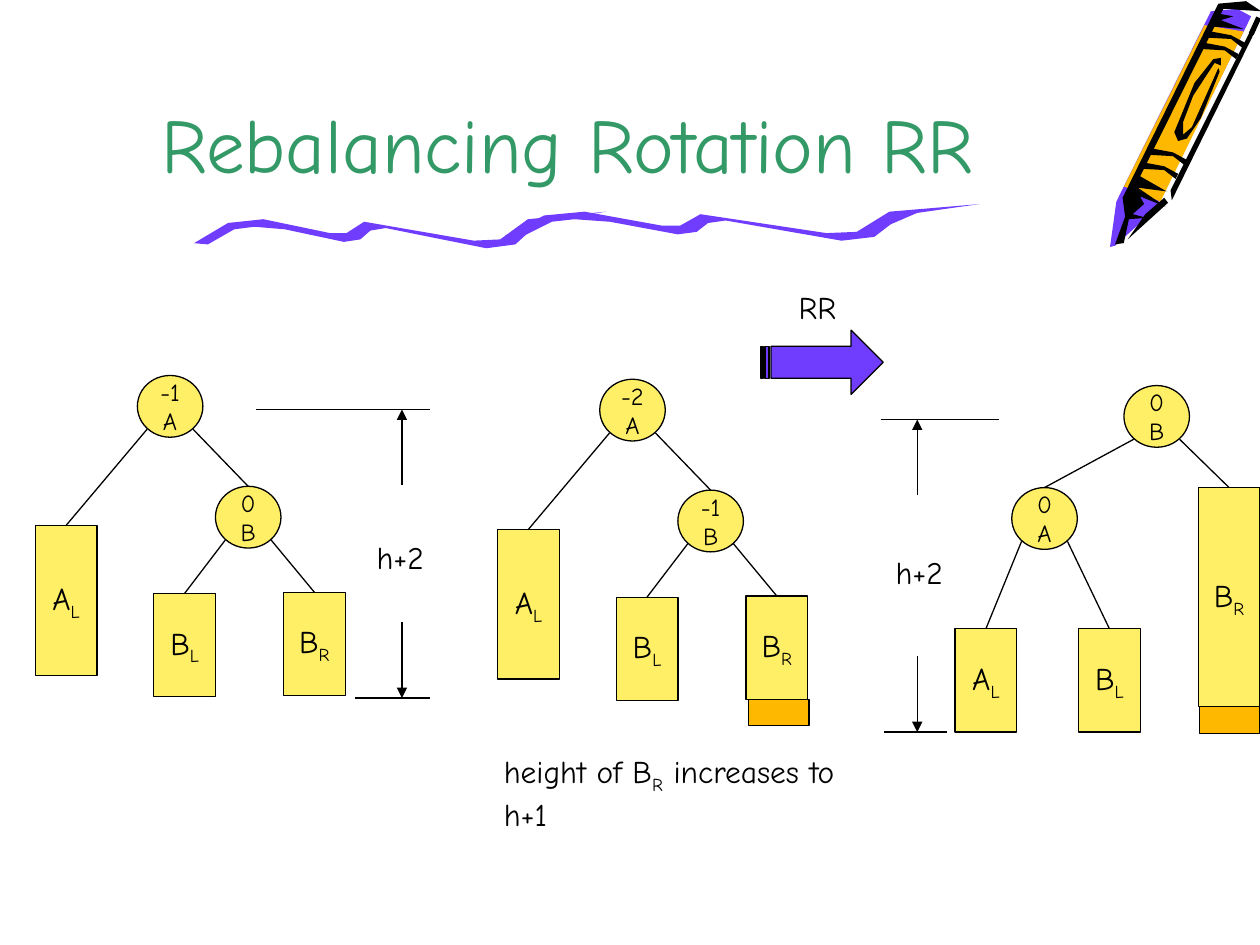
from lxml.etree import SubElement
from pptx import Presentation
from pptx.dml.color import RGBColor
from pptx.enum.shapes import MSO_CONNECTOR, MSO_SHAPE
from pptx.enum.text import MSO_ANCHOR, PP_ALIGN
from pptx.oxml.ns import qn
from pptx.util import Inches, Pt

BLACK, YELLOW, ORANGE, PURPLE, GREEN = "000000", "FFEF66", "FFB800", "703DFF", "339966"
color = RGBColor.from_string

prs = Presentation()
prs.slide_width, prs.slide_height = Inches(10), Inches(7.5)
slide = prs.slides.add_slide(prs.slide_layouts[5])
shapes = slide.shapes


def write(frame, lines, size, align=PP_ALIGN.LEFT, ink=BLACK):
    """Fill a text frame; each line alternates normal and subscript parts, split by "_"."""
    for number, line in enumerate(lines):
        paragraph = frame.add_paragraph() if number else frame.paragraphs[0]
        paragraph.alignment = align
        for part, text in enumerate(line.split("_")):
            run = paragraph.add_run()
            run.text = text
            if part % 2:
                run._r.get_or_add_rPr().set("baseline", "-25000")
        paragraph.font.size = Pt(size)
        paragraph.font.name = "Comic Neue"
        paragraph.font.color.rgb = color(ink)


def draw_line(x1, y1, x2, y2, width=0.75, arrow=False):
    line = shapes.add_connector(MSO_CONNECTOR.STRAIGHT, Inches(x1), Inches(y1), Inches(x2), Inches(y2))
    line.line.color.rgb = color(BLACK)
    line.line.width = Pt(width)
    if arrow:
        SubElement(line.line._get_or_add_ln(), qn("a:tailEnd"), type="triangle")
    SubElement(line._element.spPr, qn("a:effectLst"))
    return line


# Title
title = shapes.title
title.left, title.top, title.width, title.height = Inches(0.75), Inches(0), Inches(7.51), Inches(1.55)
title.text_frame.vertical_anchor = MSO_ANCHOR.BOTTOM
title.text_frame.word_wrap = True
write(title.text_frame, ["Rebalancing Rotation RR"], 44, PP_ALIGN.CENTER, GREEN)

# Crayon: body, wood, tip, cap, ring, edge and outline, in hundredths of an inch
outlines = [
    (PURPLE, [(993, 13), (917, 166), (885, 195), (881, 196), (886, 160), (961, 9), (982, 7)]),
    (ORANGE, [(921, 160), (892, 148), (956, 20), (987, 25)]),
    (BLACK, [(927, 161), (895, 190), (909, 170), (924, 157)]),
    (BLACK, [(987, 23), (961, 21), (968, 11), (979, 13), (969, 16)]),
    (BLACK, [(968, 57), (953, 94), (942, 110), (935, 112), (932, 105), (948, 66), (963, 47),
             (969, 46), (969, 52), (964, 50), (947, 76), (939, 97), (939, 107), (946, 101), (967, 54)]),
    (BLACK, [(997, 23), (930, 159), (929, 151), (993, 23)]),
    (BLACK, [(925, 164), (903, 149), (926, 152), (905, 140), (971, 7), (1001, 9), (989, 1),
             (967, 3), (891, 157), (893, 172), (885, 194), (892, 193), (896, 174), (910, 173),
             (899, 170), (908, 162), (905, 156)]),
]

# Four bands around the crayon share one outline
band = [(0, 0), (-9, -7), (-27, -8), (-25, -13), (-9, -10), (2, -4)]
for x, y in [(933, 142), (940, 131), (981, 47), (986, 38)]:
    outlines.append((BLACK, [(x + dx, y + dy) for dx, dy in band]))

# The underline is one wave drawn twice, the second time longer
wave = [(11, 26), (32, 14), (48, 12), (72, 14), (119, 24), (132, 22), (140, 15), (152, 13),
        (232, 29), (255, 26), (266, 16), (284, 7), (327, 0), (265, 6), (243, 22), (222, 23),
        (135, 8), (121, 17), (108, 17), (55, 6), (27, 9), (0, 25)]
for x, y, stretch in [(154, 168, 1), (401, 162, 1.15)]:
    outlines.append((PURPLE, [(x + dx * stretch, y + dy) for dx, dy in wave]))

for fill, points in outlines:
    builder = shapes.build_freeform(*points[0], scale=Inches(0.01))
    builder.add_line_segments(points[1:], close=True)
    piece = builder.convert_to_shape()
    piece.fill.solid()
    piece.fill.fore_color.rgb = color(fill)
    piece.line.fill.background()
    piece.shadow.inherit = False
draw_line(9.99, 0.14, 9.93, 0.27, width=3)

# Trees: key -> parent, left, top, subtree height (None for a node), text lines
NODE_W, NODE_H, SUBTREE_W, SHORT = 0.52, 0.49, 0.49, 0.82
outlined = []
trees = []
for dx, dy, a_balance, b_balance in [(0, 0, "-1", "0"), (3.67, 0.03, "-2", "-1")]:
    trees.append({
        "A": (None, 1.09 + dx, 2.98 + dy, None, [a_balance, "A"]),
        "B": ("A", 1.71 + dx, 3.86 + dy, None, [b_balance, "B"]),
        "AL": ("A", 0.28 + dx, 4.17 + dy, 1.19, ["A_L"]),
        "BL": ("B", 1.22 + dx, 4.71 + dy, SHORT, ["B_L"]),
        "BR": ("B", 2.25 + dx, 4.7 + dy, SHORT, ["B_R"]),
    })
trees.append({
    "B": (None, 8.92, 3.06, None, ["0", "B"]),
    "A": ("B", 8.03, 3.87, None, ["0", "A"]),
    "BR": ("B", 9.51, 3.87, 1.74, ["B_R"]),
    "AL": ("A", 7.58, 4.99, SHORT, ["A_L"]),
    "BL": ("A", 8.56, 4.99, SHORT, ["B_L"]),
})
for tree in trees:
    for parent, left, top, subtree_height, lines in tree.values():
        is_node = subtree_height is None
        kind = MSO_SHAPE.OVAL if is_node else MSO_SHAPE.RECTANGLE
        width, height = (NODE_W, NODE_H) if is_node else (SUBTREE_W, subtree_height)
        part = shapes.add_shape(kind, Inches(left), Inches(top), Inches(width), Inches(height))
        outlined.append((part, YELLOW))
        part.text_frame.word_wrap = False
        part.text_frame.vertical_anchor = MSO_ANCHOR.MIDDLE
        write(part.text_frame, lines, 14 if is_node else 18, PP_ALIGN.CENTER)
        if parent:
            # Branch from the lower left or right of the parent to the top of the child
            parent_left, parent_top = tree[parent][1:3]
            side = 0.15 if left < parent_left else 0.85
            branch = draw_line(parent_left + side * NODE_W, parent_top + 0.87 * NODE_H,
                               left + width / 2, top)
            branch.end_connect(part, 0)

# Growth of the right subtree of B
for left, top in [(5.94, 5.55), (9.52, 5.61)]:
    growth = shapes.add_shape(MSO_SHAPE.RECTANGLE, Inches(left), Inches(top), Inches(0.48), Inches(0.21))
    outlined.append((growth, ORANGE))

# Rotation arrow
rotation = shapes.add_shape(MSO_SHAPE.STRIPED_RIGHT_ARROW,
                            Inches(6.04), Inches(2.62), Inches(0.97), Inches(0.51))
outlined.append((rotation, PURPLE))

for part, fill in outlined:
    part.fill.solid()
    part.fill.fore_color.rgb = color(fill)
    part.line.color.rgb = color(BLACK)
    part.line.width = Pt(0.75)
    part.shadow.inherit = False

# Height measures: arrow x, top bar (left, right, y), bottom bar (left, right, y)
for x, *bars in [
    (3.19, (2.03, 3.41, 3.25, 0.6), (2.82, 3.41, 5.54, -0.6)),
    (7.28, (6.99, 7.93, 3.33, 0.6), (7.02, 7.52, 5.81, -0.6)),
]:
    for bar_left, bar_right, y, shaft in bars:
        draw_line(bar_left, y, bar_right, y)
        draw_line(x, y + shaft, x, y, arrow=True)

# Labels
for text, left, top, width, height in [
    ("h+2", 2.89, 4.22, 0.65, 0.4),
    ("h+2", 7.01, 4.34, 0.65, 0.4),
    ("RR", 6.24, 2.24, 0.68, 0.4),
    ("height of B_R_ increases to h+1", 3.9, 5.92, 2.83, 0.74),
]:
    label = shapes.add_textbox(Inches(left), Inches(top), Inches(width), Inches(height))
    label.text_frame.word_wrap = True
    write(label.text_frame, [text], 18)

prs.save("out.pptx")
